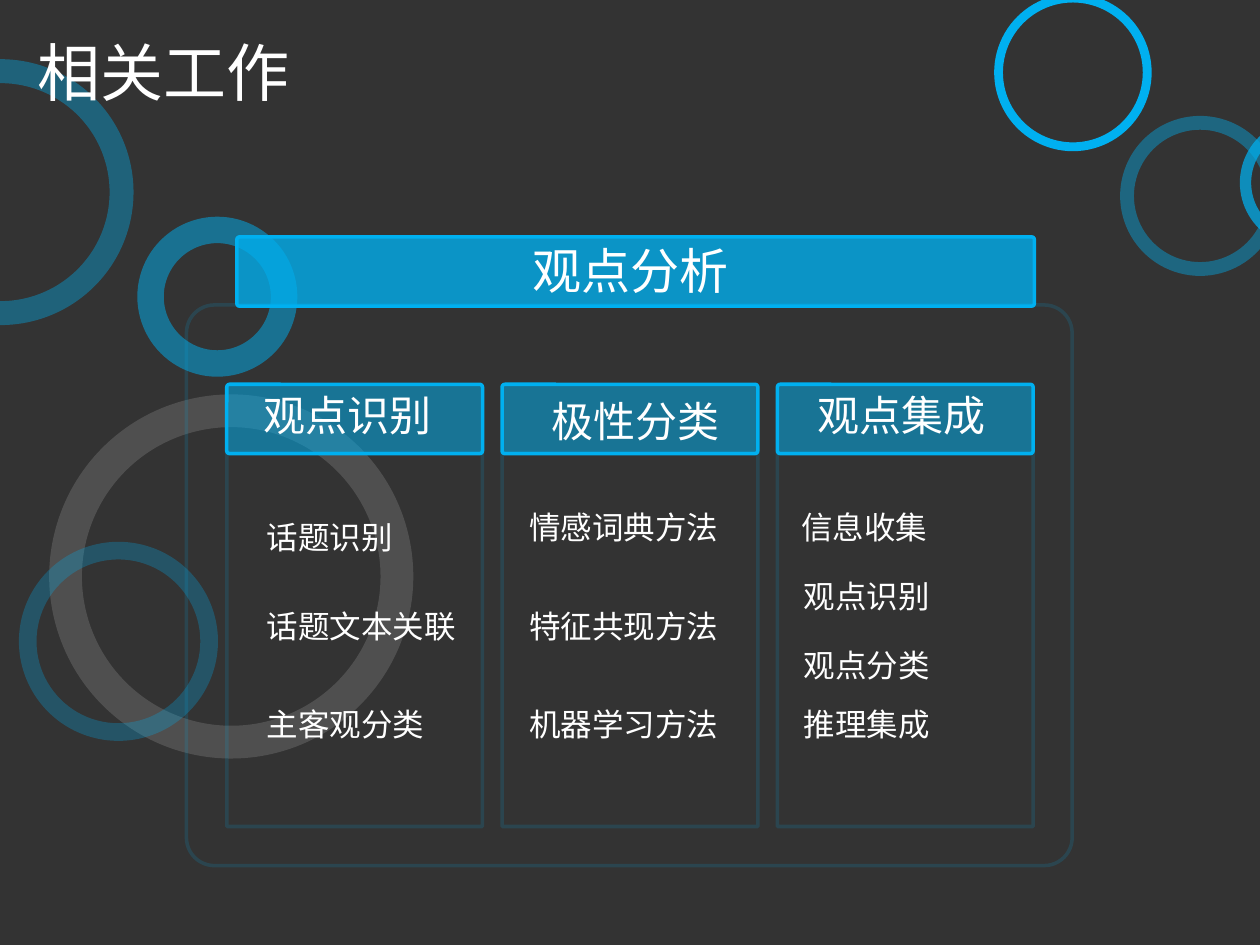
import pptx
import pptx.util
from pptx.dml.color import RGBColor
from pptx.enum.shapes import MSO_SHAPE
from pptx.enum.text import MSO_AUTO_SIZE, PP_ALIGN
from pptx.oxml.ns import qn
from pptx.util import Inches
import lxml.etree

COLORS = {"background": "333333", "accent": "00B0F0", "white": "FFFFFF"}
CJK_FONT = "Noto Sans CJK SC"

# left, top, diameter, band thickness, colour, opacity in percent
RINGS = [
    (0.39, 3.13, 2.89, 0.26, "white", 14),
    (-1.05, 0.47, 2.11, 0.19, "accent", 38),
    (0.15, 4.3, 1.58, 0.14, "accent", 27),
    (1.09, 1.72, 1.27, 0.21, "accent", 50),
    (8.89, 0.92, 1.27, 0.11, "accent", 41),
    (7.89, -0.05, 1.25, 0.07, "accent", 100),
    (9.84, 0.94, 1.02, 0.09, "accent", 72),
]

# heading, its left and top, then the topics with their left and top
COLUMNS = [
    ("观点识别", 1.85, 3.04,
     [("话题识别", 2.02, 4.06), ("话题文本关联", 2.02, 4.77), ("主客观分类", 2.02, 5.55)]),
    ("极性分类", 4.14, 3.09,
     [("情感词典方法", 4.1, 3.98), ("特征共现方法", 4.1, 4.77), ("机器学习方法", 4.1, 5.55)]),
    ("观点集成", 6.25, 3.04,
     [("信息收集", 6.26, 3.98), ("观点识别", 6.28, 4.53),
      ("观点分类", 6.28, 5.08), ("推理集成", 6.28, 5.55)]),
]
BANNER_LEFT, BANNER_WIDTH = 1.88, 6.33
COLUMNS_LEFT, COLUMNS_RIGHT, COLUMN_WIDTH = 1.8, 8.2, 2.03
COLUMN_PITCH = (COLUMNS_RIGHT - COLUMNS_LEFT - COLUMN_WIDTH) / (len(COLUMNS) - 1)


def paint(fill, parent, color, opacity):
    """Give a fill a solid colour; parent is the XML element holding it."""
    fill.solid()
    fill.fore_color.rgb = RGBColor.from_string(COLORS[color])
    if opacity < 100:
        rgb = parent.find(qn("a:solidFill")).find(qn("a:srgbClr"))
        lxml.etree.SubElement(rgb, qn("a:alpha")).set("val", str(opacity * 1000))


def add_ring(slide, left, top, diameter, band, color, opacity):
    ring = slide.shapes.add_shape(MSO_SHAPE.DONUT, Inches(left), Inches(top),
                                  Inches(diameter), Inches(diameter))
    ring.shadow.inherit = False
    ring.adjustments[0] = band / diameter
    paint(ring.fill, ring._element.spPr, color, opacity)
    ring.line.fill.background()


def add_box(slide, left, top, width, height, corner=0, fill_opacity=0, line_opacity=100):
    """Add an accent-outlined box, rounded when corner is set."""
    kind = MSO_SHAPE.ROUNDED_RECTANGLE if corner else MSO_SHAPE.RECTANGLE
    box = slide.shapes.add_shape(kind, Inches(left), Inches(top),
                                 Inches(width), Inches(height))
    box.shadow.inherit = False
    if corner:
        box.adjustments[0] = corner
    if fill_opacity:
        paint(box.fill, box._element.spPr, "accent", fill_opacity)
    else:
        box.fill.background()
    box.line.width = pptx.util.Pt(2)
    paint(box.line.fill, box._element.spPr.find(qn("a:ln")), "accent", line_opacity)


def add_label(slide, text, left, top, width, height, size,
              align=None, font="Calibri", wrap=True):
    label = slide.shapes.add_textbox(Inches(left), Inches(top),
                                     Inches(width), Inches(height))
    frame = label.text_frame
    frame.word_wrap = wrap
    frame.auto_size = MSO_AUTO_SIZE.SHAPE_TO_FIT_TEXT
    paragraph = frame.paragraphs[0]
    paragraph.alignment = align
    run = paragraph.add_run()
    run.text = text
    run.font.size = pptx.util.Pt(size)
    run.font.color.rgb = RGBColor.from_string(COLORS["white"])
    run.font.name = font
    east_asian = lxml.etree.SubElement(run.font._element, qn("a:ea"))
    east_asian.set("typeface", CJK_FONT)


def add_column(slide, left, heading, heading_left, heading_top, topics):
    add_box(slide, left, 3.59, COLUMN_WIDTH, 2.97, line_opacity=15)
    add_box(slide, left, 3.05, COLUMN_WIDTH, 0.55, corner=0.04, fill_opacity=52)
    add_label(slide, heading, heading_left, heading_top, 1.81, 0.5, 24, PP_ALIGN.CENTER)
    for topic, topic_left, topic_top in topics:
        add_label(slide, topic, topic_left, topic_top, 1.81, 0.4, 18)


def main():
    deck = pptx.Presentation()
    deck.slide_width, deck.slide_height = Inches(10), Inches(7.5)
    slide = deck.slides.add_slide(deck.slide_layouts[6])
    background = slide.background.fill
    background.solid()
    background.fore_color.rgb = RGBColor.from_string(COLORS["background"])

    for ring in RINGS:
        add_ring(slide, *ring)
    add_box(slide, BANNER_LEFT, 1.88, BANNER_WIDTH, 0.55, corner=0.04, fill_opacity=78)
    add_label(slide, "观点分析", 4.13, 1.86, 1.96, 0.57, 28)
    add_box(slide, 1.48, 2.42, 7.03, 4.45, corner=0.05, line_opacity=15)
    for index, column in enumerate(COLUMNS):
        add_column(slide, COLUMNS_LEFT + index * COLUMN_PITCH, *column)
    add_label(slide, "相关工作", 0.2, 0.22, 2.2, 0.7, 36, font=CJK_FONT, wrap=False)

    deck.save("out.pptx")


if __name__ == "__main__":
    main()
